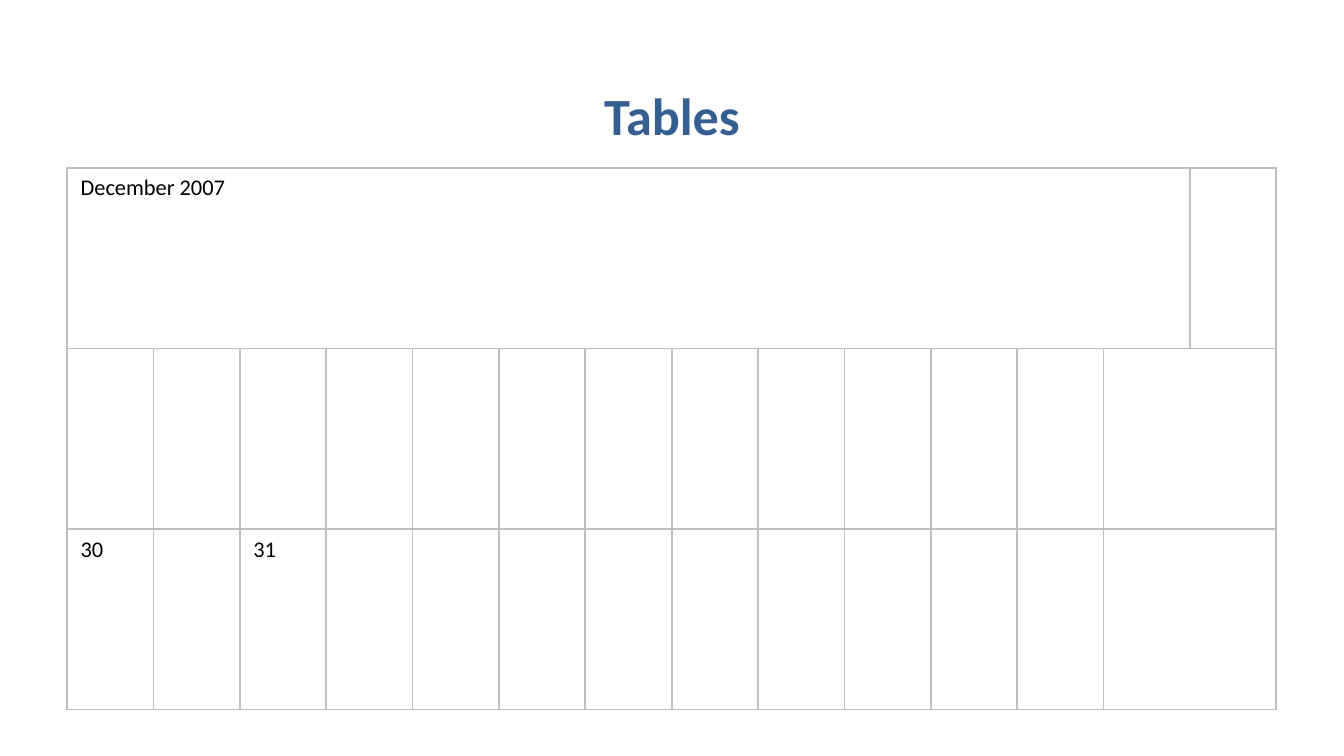
from dataclasses import dataclass

from lxml import etree
from pptx import Presentation
from pptx import util as u
from pptx.dml.color import RGBColor
from pptx.enum import text
from pptx.oxml import ns


@dataclass(frozen=True)
class Theme:
    font: str = "Calibri"
    title_color: str = "365F91"
    text_color: str = "000000"
    border_color: str = "BFBFBF"
    title_size: float = 28
    text_size: float = 12
    border_width: float = 1.02


@dataclass(frozen=True)
class CalendarCell:
    row: int
    col: int
    label: str = ""
    span: int = 1


THEME = Theme()
ROWS, COLS = 3, 14
CALENDAR = [
    CalendarCell(0, 0, "December 2007", span=13),
    CalendarCell(1, 12, span=2),
    CalendarCell(2, 0, "30"),
    CalendarCell(2, 2, "31"),
    CalendarCell(2, 12, span=2),
]


def add_run(p, label: str, size: float, color: str, bold: bool = False) -> None:
    r = p.add_run()
    r.text = label
    r.font.name = THEME.font
    r.font.size = u.Pt(size)
    r.font.bold = bold
    r.font.color.rgb = RGBColor.from_string(color)


def style_cell(cell) -> None:
    """Give a cell four grey borders and no fill."""
    tc_pr = cell._tc.get_or_add_tcPr()
    for side in ("a:lnL", "a:lnR", "a:lnT", "a:lnB"):
        ln = etree.SubElement(tc_pr, ns.qn(side), w=str(int(u.Pt(THEME.border_width))))
        fill = etree.SubElement(ln, ns.qn("a:solidFill"))
        etree.SubElement(fill, ns.qn("a:srgbClr"), val=THEME.border_color)
    cell.fill.background()


def add_title(s, label: str) -> None:
    sp = s.shapes.add_textbox(u.Inches(0.5), u.Inches(0.31), u.Inches(9), u.Inches(0.78))
    tf = sp.text_frame
    tf.word_wrap = True
    tf.vertical_anchor = text.MSO_ANCHOR.BOTTOM
    tf.margin_left = tf.margin_right = tf.margin_top = tf.margin_bottom = 0
    p = tf.paragraphs[0]
    p.alignment = text.PP_ALIGN.CENTER
    add_run(p, label, THEME.title_size, THEME.title_color, bold=True)


def add_calendar(s, entries: list[CalendarCell]) -> None:
    frame = s.shapes.add_table(
        ROWS, COLS, u.Inches(0.5), u.Inches(1.25), u.Inches(9), u.Inches(4.03)
    )
    table = frame.table
    table.first_row = table.horz_banding = False
    for cell in table.iter_cells():
        style_cell(cell)
    for entry in entries:
        cell = table.cell(entry.row, entry.col)
        if entry.span > 1:
            cell.merge(table.cell(entry.row, entry.col + entry.span - 1))
        if entry.label:
            p = cell.text_frame.paragraphs[0]
            add_run(p, entry.label, THEME.text_size, THEME.text_color)


def main() -> None:
    prs = Presentation()
    prs.slide_width = u.Inches(10)
    prs.slide_height = prs.slide_width * 9 // 16
    s = prs.slides.add_slide(prs.slide_layouts[6])
    add_title(s, "Tables")
    add_calendar(s, CALENDAR)
    prs.save("out.pptx")


if __name__ == "__main__":
    main()
